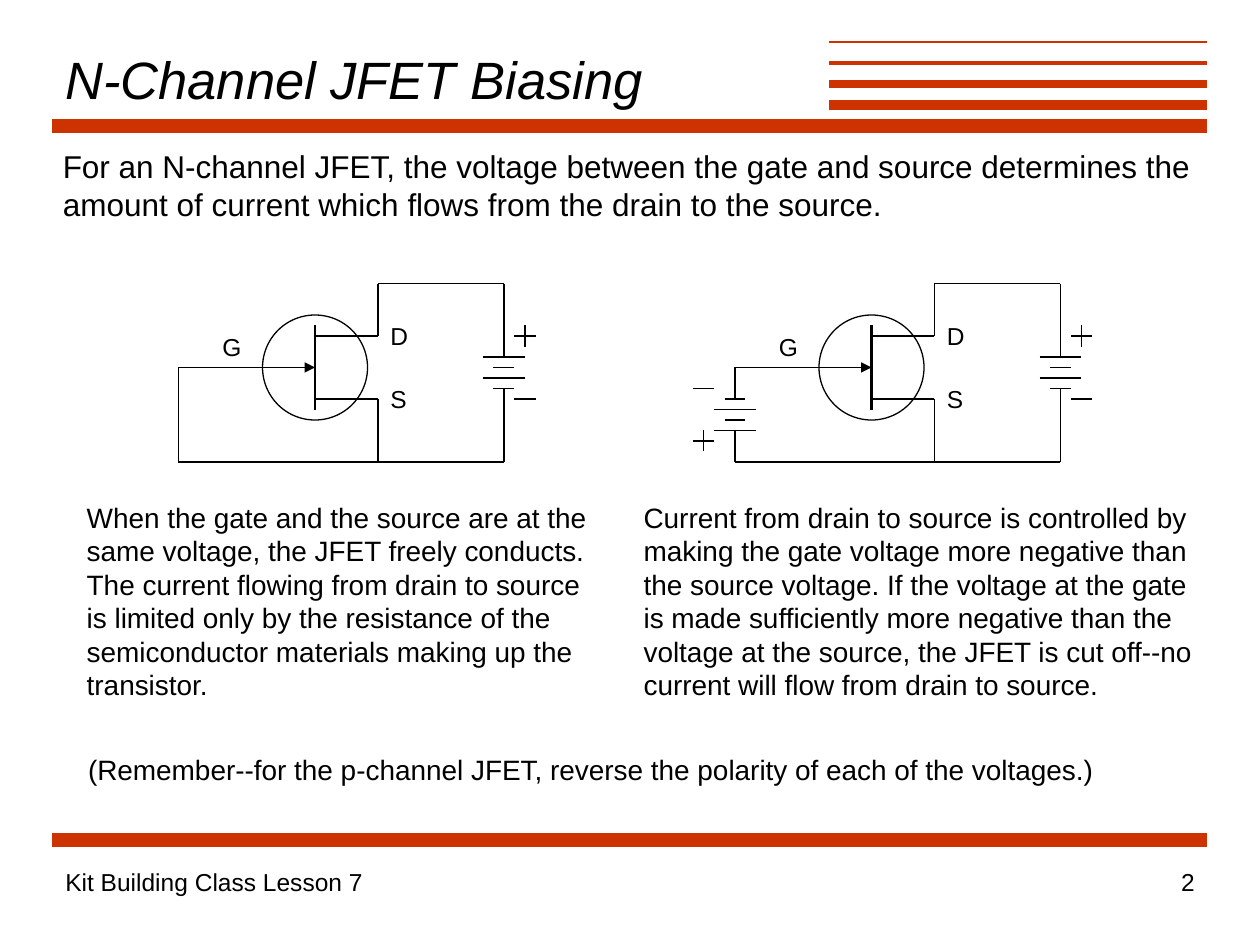
from pptx import Presentation
from pptx.dml.color import RGBColor
from pptx.enum.shapes import MSO_CONNECTOR, MSO_SHAPE
from pptx.enum.text import MSO_ANCHOR, PP_ALIGN
from pptx.oxml.ns import qn
from pptx.util import Inches, Pt
from lxml.etree import SubElement

BLACK = "000000"
RUST = "CC3300"
WIRE = 0.74
CIRCUIT_STEP = 53

INTRO = """For an N-channel JFET, the voltage between the gate and source determines the
amount of current which flows from the drain to the source."""
UNBIASED = """When the gate and the source are at the
same voltage, the JFET freely conducts.
The current flowing from drain to source
is limited only by the resistance of the
semiconductor materials making up the
transistor."""
BIASED = """Current from drain to source is controlled by
making the gate voltage more negative than
the source voltage. If the voltage at the gate
is made sufficiently more negative than the
voltage at the source, the JFET is cut off--no
current will flow from drain to source."""
REMINDER = "(Remember--for the p-channel JFET, reverse the polarity of each of the voltages.)"


def grid(cells):
    """Turn grid cells, twelve to the inch, into a length."""
    return Inches(cells / 12)


def color(hex_text):
    """Turn a hex string into a colour."""
    return RGBColor.from_string(hex_text)


def add_line(slide, start, end, width=WIRE, ink=BLACK, arrow=False):
    """Draw a straight line between two grid points."""
    line = slide.shapes.add_connector(
        MSO_CONNECTOR.STRAIGHT, *(grid(cells) for cells in (*start, *end)))
    line.line.color.rgb = color(ink)
    line.line.width = Pt(width)
    properties = line._element.spPr
    if arrow:
        SubElement(properties.find(qn("a:ln")), qn("a:tailEnd"), type="triangle")
    SubElement(properties, qn("a:effectLst"))


def add_wire(slide, *corners):
    """Join grid points in order with thin lines."""
    for start, end in zip(corners, corners[1:]):
        add_line(slide, start, end)


def add_text(slide, text, left, top, width, height, size, wrap=False,
             italic=False, align=PP_ALIGN.LEFT, anchor=MSO_ANCHOR.TOP):
    """Place text, one paragraph a line, in a box measured in inches."""
    box = slide.shapes.add_textbox(*(Inches(side) for side in (left, top, width, height)))
    frame = box.text_frame
    frame.word_wrap = wrap
    frame.vertical_anchor = anchor
    frame.text = text
    for paragraph in frame.paragraphs:
        paragraph.alignment = align
        for run in paragraph.runs:
            run.font.name = "Arial"
            run.font.size = Pt(size)
            run.font.italic = italic
            run.font.color.rgb = color(BLACK)


def add_rules(slide):
    """Draw the coloured rules of the header and the footer."""
    for row, width in ((12, 8), (80, 8)):
        add_line(slide, (5, row), (115, row), width, RUST)
    for row, width in ((10, 6), (8, 4.5), (6, 2.25), (4, 1.5)):
        add_line(slide, (79, row), (115, row), width, RUST)


def add_battery(slide, x, top, narrow_first):
    """Draw four plates, alternately narrow and wide."""
    for plate in range(4):
        half = 1 if (plate % 2 == 0) == narrow_first else 2
        add_wire(slide, (x - half, top + plate), (x + half, top + plate))


def add_sign(slide, x, y, positive):
    """Draw a plus or a minus sign around a grid point."""
    add_wire(slide, (x - 1, y), (x + 1, y))
    if positive:
        add_wire(slide, (x, y - 1), (x, y + 1))


def add_jfet(slide, x):
    """Draw the transistor symbol and name its terminals."""
    add_line(slide, (x + 30, 31), (x + 30, 39), 1.5)
    add_line(slide, (x + 23, 35), (x + 30, 35), arrow=True)
    for row in (32, 38):
        add_wire(slide, (x + 30, row), (x + 36, row))
    body = slide.shapes.add_shape(
        MSO_SHAPE.OVAL, grid(x + 25), grid(30), grid(10), grid(10))
    body.shadow.inherit = False
    body.fill.background()
    body.line.color.rgb = color(BLACK)
    body.line.width = Pt(WIRE)
    for terminal, column, row in (("G", 20, 31), ("D", 36, 30), ("S", 36, 36)):
        add_text(slide, terminal, (x + column) / 12, row / 12, 0.34, 0.34, 14)


def add_circuit(slide, x, gate_battery):
    """Draw one biasing circuit starting at grid column x."""
    gate, source, supply, ground = x + 17, x + 36, x + 48, 44
    add_jfet(slide, x)
    add_wire(slide, (source, 32), (source, 27), (supply, 27), (supply, 34))
    add_battery(slide, supply, 34, narrow_first=False)
    add_wire(slide, (supply, 37), (supply, ground), (gate, ground))
    add_wire(slide, (source, 38), (source, ground))
    add_sign(slide, x + 50, 32, positive=True)
    add_sign(slide, x + 50, 38, positive=False)
    if gate_battery:
        add_wire(slide, (x + 23, 35), (gate, 35), (gate, 38))
        add_battery(slide, gate, 38, narrow_first=True)
        add_wire(slide, (gate, 41), (gate, ground))
        add_sign(slide, x + 14, 37, positive=False)
        add_sign(slide, x + 14, 42, positive=True)
    else:
        add_wire(slide, (x + 23, 35), (gate, 35), (gate, ground))


def main():
    """Build the slide and save it."""
    deck = Presentation()
    deck.slide_width, deck.slide_height = Inches(10), Inches(7.5)
    slide = deck.slides.add_slide(deck.slide_layouts[6])
    add_rules(slide)
    add_text(slide, "N-Channel JFET Biasing", 0.42, 0.33, 6.17, 0.58, 30,
             wrap=True, italic=True, anchor=MSO_ANCHOR.MIDDLE)
    for index, gate_battery in enumerate((False, True)):
        add_circuit(slide, index * CIRCUIT_STEP, gate_battery)
    add_text(slide, INTRO, 0.4, 1.12, 9.18, 0.7, 18)
    add_text(slide, UNBIASED, 0.59, 3.92, 4.17, 1.7, 16)
    add_text(slide, BIASED, 5.01, 3.92, 4.56, 1.7, 16)
    add_text(slide, REMINDER, 0.6, 5.92, 8.21, 0.37, 16)
    add_text(slide, "Kit Building Class Lesson 7", 0.42, 6.83, 6.92, 0.5, 14, wrap=True)
    add_text(slide, "2", 7.5, 6.83, 2.08, 0.5, 14, wrap=True, align=PP_ALIGN.RIGHT)
    deck.save("out.pptx")


main()
